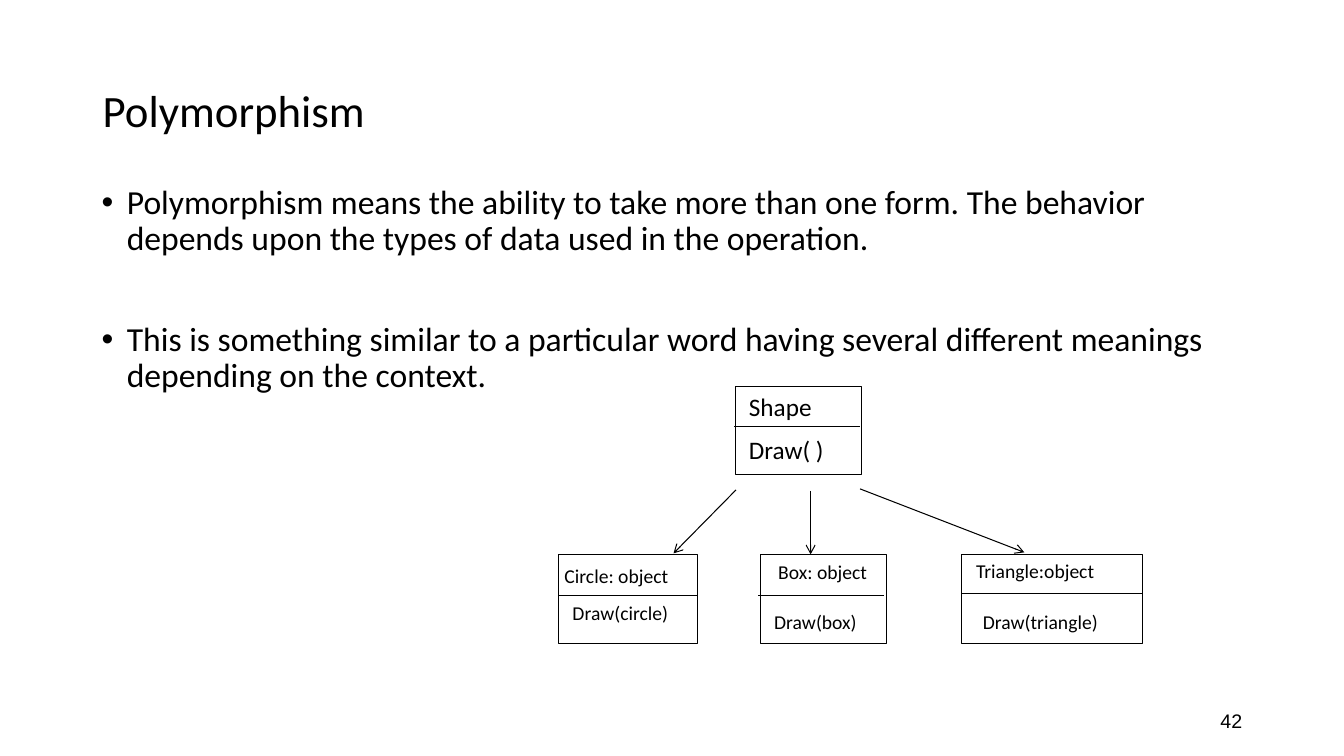
from dataclasses import dataclass

from lxml import etree
from pptx import Presentation
from pptx import util as u
from pptx.dml.color import RGBColor
from pptx.enum import shapes, text
from pptx.oxml import ns


@dataclass(frozen=True)
class Theme:
    ink: RGBColor = RGBColor(0, 0, 0)
    paper: RGBColor = RGBColor(255, 255, 255)
    body_font: str = "Calibri"
    number_font: str = "Arial"
    title_size: int = 32
    body_size: int = 24
    class_size: int = 18
    small_size: int = 14
    line_width: float = 0.75


class Painter:
    def __init__(self, page, theme):
        self.page = page
        self.theme = theme

    def style(self, para, size, font=None):
        for span in para.runs:
            span.font.size = u.Pt(size)
            span.font.name = font or self.theme.body_font
            span.font.color.rgb = self.theme.ink

    def outline(self, line):
        line.color.rgb = self.theme.ink
        line.width = u.Pt(self.theme.line_width)

    def label(self, wording, place, size, anchor=text.MSO_ANCHOR.MIDDLE,
              align=text.PP_ALIGN.LEFT, font=None, spacing=1.0):
        box = self.page.shapes.add_textbox(*map(u.Inches, place))
        frame = box.text_frame
        frame.word_wrap = True
        frame.vertical_anchor = anchor
        frame.text = wording
        para = frame.paragraphs[0]
        para.alignment = align
        para.line_spacing = spacing
        self.style(para, size, font)

    def bullets(self, points, place, gap):
        box = self.page.shapes.add_textbox(*map(u.Inches, place))
        frame = box.text_frame
        frame.word_wrap = True
        frame.text = "\n".join(points)
        for index, para in enumerate(frame.paragraphs):
            properties = para._p.get_or_add_pPr()
            properties.set("marL", str(u.Inches(0.25)))
            properties.set("indent", str(-u.Inches(0.25)))
            etree.SubElement(properties, ns.qn("a:buFont"), typeface="Arial")
            etree.SubElement(properties, ns.qn("a:buChar"), char="•")
            para.line_spacing = 0.9
            if index:
                para.space_before = u.Pt(gap)
            self.style(para, self.theme.body_size)

    def rectangle(self, place, wording=""):
        box = self.page.shapes.add_shape(
            shapes.MSO_SHAPE.RECTANGLE, *map(u.Inches, place))
        box.shadow.inherit = False
        box.fill.solid()
        box.fill.fore_color.rgb = self.theme.paper
        self.outline(box.line)
        if wording:
            frame = box.text_frame
            frame.margin_left = u.Inches(0.14)
            frame.vertical_anchor = text.MSO_ANCHOR.TOP
            frame.text = wording
            frame.paragraphs[0].alignment = text.PP_ALIGN.LEFT
            self.style(frame.paragraphs[0], self.theme.small_size)

    def line(self, start, end, arrow=False):
        link = self.page.shapes.add_connector(
            shapes.MSO_CONNECTOR.STRAIGHT, *map(u.Inches, start + end))
        self.outline(link.line)
        if arrow:
            etree.SubElement(link.line._get_or_add_ln(), ns.qn("a:tailEnd"), type="arrow")
        etree.SubElement(link._element.spPr, ns.qn("a:effectLst"))


def main():
    deck = Presentation()
    deck.slide_width = u.Inches(13.33)
    deck.slide_height = u.Inches(7.5)
    theme = Theme()
    painter = Painter(deck.slides.add_slide(deck.slide_layouts[6]), theme)

    painter.label("Polymorphism", (0.92, 0.4, 11.5, 1.45), theme.title_size, spacing=0.9)
    painter.bullets([
        "Polymorphism means the ability to take more than one form. "
        "The behavior depends upon the types of data used in the operation.",
        "This is something similar to a particular word having several "
        "different meanings depending on the context.",
    ], (0.91, 1.79, 11.5, 4.76), gap=46)
    painter.label("42", (9.42, 6.95, 3, 0.4), theme.small_size,
                  align=text.PP_ALIGN.RIGHT, font=theme.number_font)

    class_boxes = [
        (7.29, 3.83, 1.25, 7.28, 4.23, ""),
        (5.54, 5.5, 1.38, 5.54, 5.91, ""),
        (7.54, 5.5, 1.25, 7.52, 5.91, ""),
        (9.54, 5.5, 1.79, 9.54, 5.89, "Triangle:object"),
    ]
    for left, top, width, divider_left, divider_top, name in class_boxes:
        painter.rectangle((left, top, width, 0.88), name)
        painter.line((divider_left, divider_top), (divider_left + width, divider_top))

    arrows = [
        ((7.3, 4.86), (6.68, 5.49)),
        ((8.04, 4.87), (8.04, 5.5)),
        ((8.53, 4.85), (10.16, 5.48)),
    ]
    for start, end in arrows:
        painter.line(start, end, arrow=True)

    for wording, left, top in [("Shape", 7.33, 3.83), ("Draw( )", 7.33, 4.26)]:
        painter.label(wording, (left, top, 1, 0.4), theme.class_size)

    object_labels = [
        ("Circle: object", 5.5, 5.54, 1.3),
        ("Draw(circle)", 5.58, 5.91, 1.2),
        ("Box: object", 7.62, 5.5, 1.15),
        ("Draw(box)", 7.58, 6, 1.1),
        ("Draw(triangle)", 9.65, 6, 1.4),
    ]
    for wording, left, top, width in object_labels:
        painter.label(wording, (left, top, width, 0.34), theme.small_size)

    deck.save("out.pptx")


if __name__ == "__main__":
    main()
